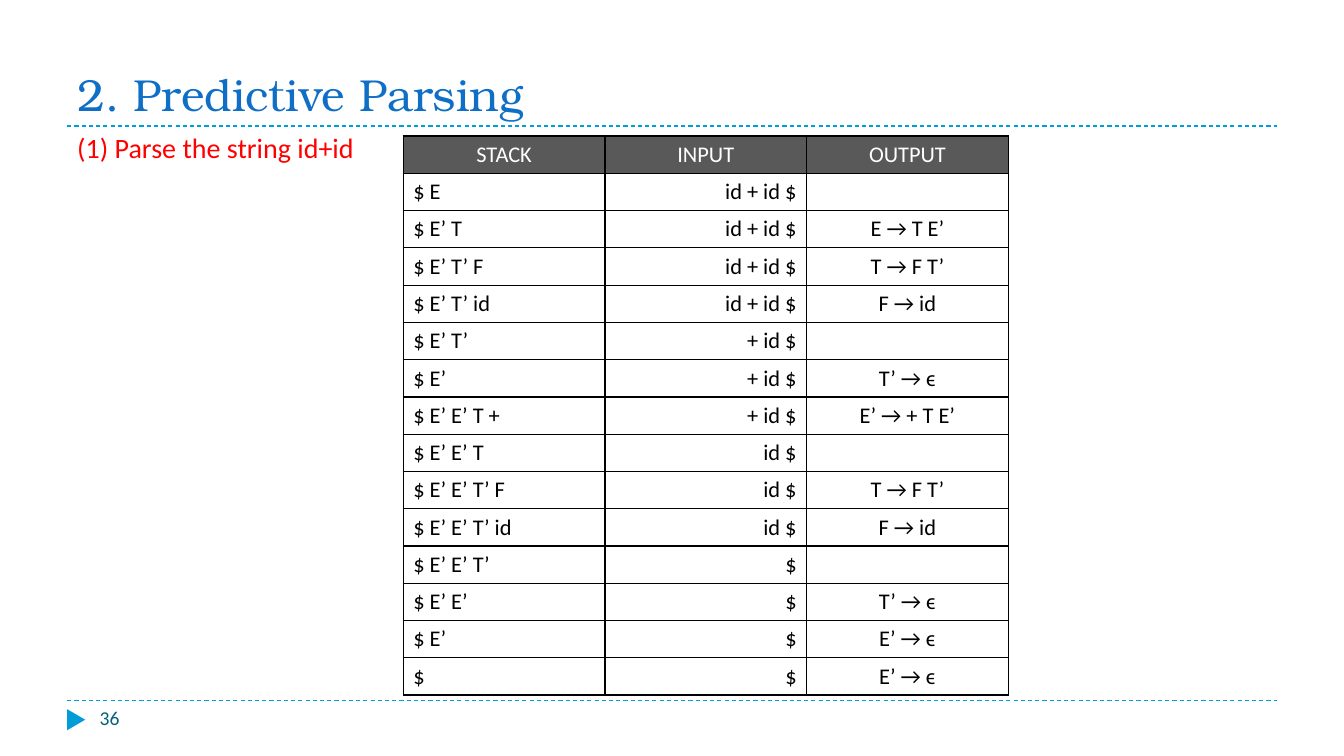
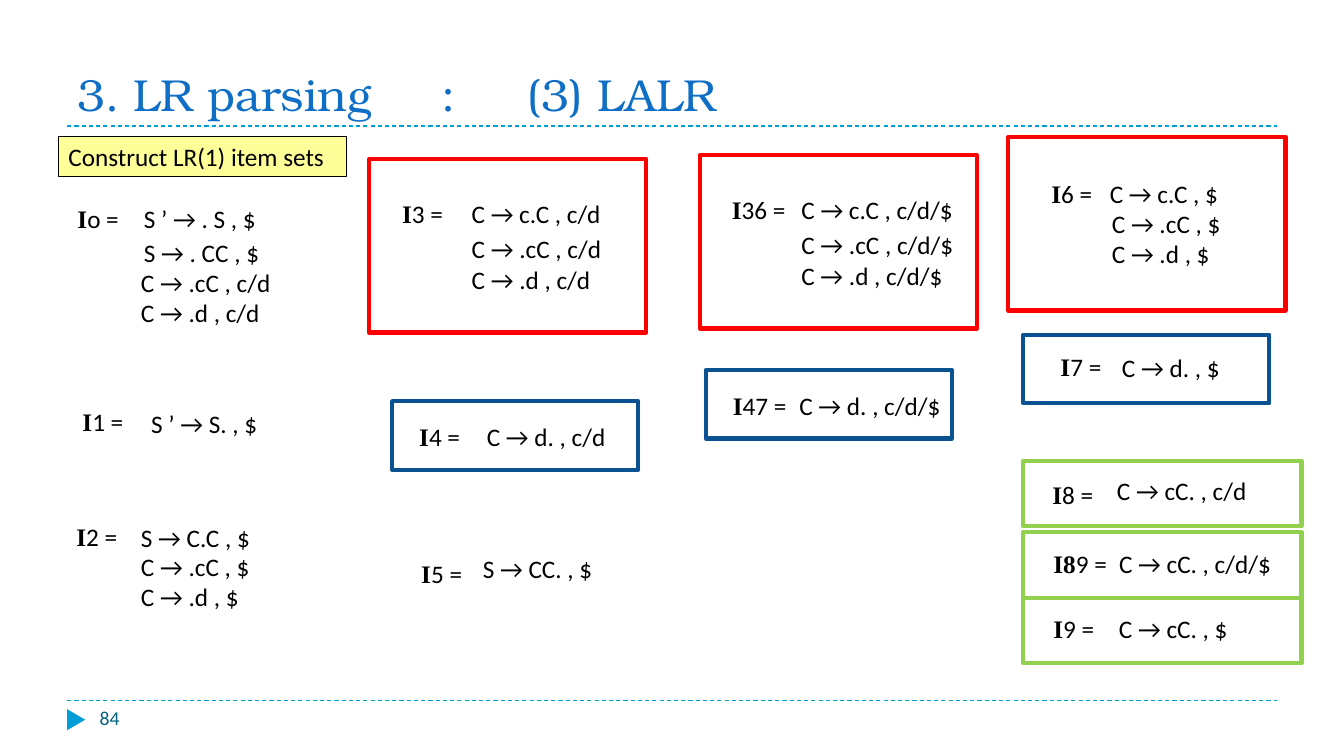
import pptx
import pptx.util
import pptx.dml.color
import pptx.enum.dml
import pptx.enum.shapes
import pptx.enum.text
import pptx.oxml.ns
import lxml.etree

W, H = 13.33, 7.5
MARGIN, RIGHT = W * 0.05, W * 0.95
TITLE_Y, FOOT_Y = 1.25, 6.95
LINE_H, PAD = 0.3, 0.1  # item line height, total vertical inset

SANS, SERIF, TITLE_FONT = "Calibri", "Times New Roman", "TeX Gyre Bonum"
BLACK, WHITE, RED, BLUE, GREEN = "000000", "FFFFFF", "FF0000", "0B5292", "92D050"
TITLE_COLOR, RULE_COLOR, NUMBER_COLOR = "0F6FC6", "009DD9", "04617B"
HEADER_FILL, NOTE_FILL = "595959", "FFFF99"

ALIGN = pptx.enum.text.PP_ALIGN
ANCHOR = pptx.enum.text.MSO_ANCHOR
FIT = pptx.enum.text.MSO_AUTO_SIZE
SHAPE = pptx.enum.shapes.MSO_SHAPE
qn = pptx.oxml.ns.qn

PARSE_STEPS = [
    ("STACK", "INPUT", "OUTPUT"),
    ("$ E", "id + id $", ""),
    ("$ E’ T", "id + id $", "E → T E’"),
    ("$ E’ T’ F", "id + id $", "T → F T’"),
    ("$ E’ T’ id", "id + id $", "F → id"),
    ("$ E’ T’", "+ id $", ""),
    ("$ E’", "+ id $", "T’ → ϵ"),
    ("$ E’ E’ T +", "+ id $", "E’ → + T E’"),
    ("$ E’ E’ T", "id $", ""),
    ("$ E’ E’ T’ F", "id $", "T → F T’"),
    ("$ E’ E’ T’ id", "id $", "F → id"),
    ("$ E’ E’ T’", "$", ""),
    ("$ E’ E’", "$", "T’ → ϵ"),
    ("$ E’", "$", "E’ → ϵ"),
    ("$", "$", "E’ → ϵ"),
]

# Panel size, colour and top-left corners
PANELS = [
    (2.75, 1.72, RED, [(3.66, 1.58), (6.94, 1.54), (10, 1.36)]),
    (2.44, 0.68, BLUE, [(3.89, 3.98), (7, 3.67), (10.15, 3.32)]),
    (2.76, 0.65, GREEN, [(10.15, 4.57), (10.15, 5.28), (10.15, 5.93)]),
]

# Set names: bold part, plain part, left, top
LABELS = [
    ("I", "o =", 0.67, 1.97), ("I", "1 =", 0.72, 3.98), ("I", "2 =", 0.66, 5.12),
    ("I", "3 =", 3.89, 1.92), ("I", "4 =", 4.06, 4.13), ("I", "5 =", 4.08, 5.49),
    ("I", "36 =", 7.16, 1.88), ("I", "47 =", 7.17, 3.82),
    ("I", "6 =", 10.33, 1.72), ("I", "7 =", 10.42, 3.44),
    ("I", "8 =", 10.34, 4.71), ("I8", "9 =", 10.35, 5.39), ("I", "9 =", 10.35, 6.04),
]

# Productions: left, top, width, lines
ITEMS = [
    (1.33, 1.97, 1.36, ["S ’ → . S , $"]),
    (1.33, 2.31, 1.47, ["S → . CC , $"]),
    (1.3, 2.6, 1.59, ["C → .cC , c/d", "C → .d , c/d"]),
    (1.4, 4, 1.29, ["S ’ → S. , $"]),
    (1.3, 5.13, 1.43, ["S → C.C , $"]),
    (1.3, 5.42, 1.43, ["C → .cC , $", "C → .d , $"]),
    (4.58, 1.92, 1.6, ["C → c.C , c/d"]),
    (4.58, 2.27, 1.59, ["C → .cC , c/d", "C → .d , c/d"]),
    (4.73, 4.13, 1.41, ["C → d. , c/d"]),
    (4.69, 5.44, 1.41, ["S → CC. , $"]),
    (7.85, 1.88, 1.81, ["C → c.C , c/d/$"]),
    (7.85, 2.23, 1.8, ["C → .cC , c/d/$", "C → .d , c/d/$"]),
    (7.83, 3.82, 1.61, ["C → d. , c/d/$"]),
    (10.91, 1.72, 1.43, ["C → c.C , $"]),
    (10.93, 2.02, 1.43, ["C → .cC , $", "C → .d , $"]),
    (11.03, 3.45, 1.23, ["C → d. , $"]),
    (10.98, 4.67, 1.57, ["C → cC. , c/d"]),
    (11, 5.39, 1.78, ["C → cC. , c/d/$"]),
    (11, 6.04, 1.4, ["C → cC. , $"]),
]


def inches(*values):
    return [pptx.util.Inches(v) for v in values]


def rgb(color):
    return pptx.dml.color.RGBColor.from_string(color)


def write(p, text, size=18, font=SANS, color=BLACK, bold=False, align=ALIGN.LEFT):
    """Append a formatted run to a paragraph; empty text only sets the line height."""
    p.alignment = align
    if not text:
        end = lxml.etree.SubElement(p._p, qn("a:endParaRPr"))
        end.set("sz", str(size * 100))
        return
    r = p.add_run()
    r.text = text
    r.font.size, r.font.name, r.font.bold = pptx.util.Pt(size), font, bold
    r.font.color.rgb = rgb(color)


def text_box(slide, x, y, w, lines, **fmt):
    h = LINE_H * len(lines) + PAD
    tf = slide.shapes.add_textbox(*inches(x, y, w, h)).text_frame
    tf.word_wrap = False
    tf.auto_size = FIT.SHAPE_TO_FIT_TEXT
    for i, line in enumerate(lines):
        write(tf.add_paragraph() if i else tf.paragraphs[0], line, **fmt)
    return tf


def shape(slide, kind, x, y, w, h, fill=None, line=None, width=0.75):
    sp = slide.shapes.add_shape(kind, *inches(x, y, w, h))
    sp.shadow.inherit = False
    if fill:
        sp.fill.solid()
        sp.fill.fore_color.rgb = rgb(fill)
    else:
        sp.fill.background()
    if line:
        sp.line.color.rgb = rgb(line)
        sp.line.width = pptx.util.Pt(width)
    else:
        sp.line.fill.background()
    return sp


def dashed_rule(slide, y):
    ln = slide.shapes.add_connector(
        pptx.enum.shapes.MSO_CONNECTOR.STRAIGHT, *inches(MARGIN, y, RIGHT, y))
    ln.line.color.rgb = rgb(RULE_COLOR)
    ln.line.width = pptx.util.Pt(0.75)
    ln.line.dash_style = pptx.enum.dml.MSO_LINE.DASH
    lxml.etree.SubElement(ln._element.spPr, qn("a:effectLst"))


def add_tabs(p, stops):
    tabs = lxml.etree.SubElement(p._p.get_or_add_pPr(), qn("a:tabLst"))
    for stop in stops:
        lxml.etree.SubElement(tabs, qn("a:tab"), pos=str(pptx.util.Inches(stop)), algn="l")


def new_slide(prs, title, number, tabs=()):
    """Title, rules, marker and page number common to all slides."""
    slide = prs.slides.add_slide(prs.slide_layouts[5])
    dashed_rule(slide, FOOT_Y)
    dashed_rule(slide, TITLE_Y)
    marker = shape(slide, SHAPE.ISOSCELES_TRIANGLE, 0.65, 7.05, 0.21, 0.18, RULE_COLOR)
    marker.rotation = 90
    sp = slide.shapes.title
    sp.left, sp.top, sp.width, sp.height = inches(MARGIN, TITLE_Y - 1, W * 0.9, 1)
    tf = sp.text_frame
    tf.vertical_anchor = ANCHOR.BOTTOM
    tf.word_wrap, tf.auto_size = True, FIT.NONE
    p = tf.paragraphs[0]
    if tabs:
        add_tabs(p, tabs)
    write(p, title, size=32, font=TITLE_FONT, color=TITLE_COLOR)
    text_box(slide, 0.89, FOOT_Y, 0.5, [number], size=14, color=NUMBER_COLOR)
    return slide


def border(cell):
    tcPr = cell._tc.get_or_add_tcPr()
    for side in ("a:lnL", "a:lnR", "a:lnT", "a:lnB"):
        ln = lxml.etree.SubElement(tcPr, qn(side), w=str(pptx.util.Pt(1)))
        fill = lxml.etree.SubElement(ln, qn("a:solidFill"))
        lxml.etree.SubElement(fill, qn("a:srgbClr"), val=BLACK)


def parse_table(slide, x, y, col_w, row_h, rows):
    n_rows, n_cols = len(rows), len(rows[0])
    table = slide.shapes.add_table(
        n_rows, n_cols, *inches(x, y, col_w * n_cols, row_h * n_rows)).table
    table.first_row = table.horz_banding = False
    aligns = (ALIGN.LEFT, ALIGN.RIGHT, ALIGN.CENTER)
    for i, row in enumerate(rows):
        for j, text in enumerate(row):
            cell = table.cell(i, j)
            border(cell)
            if i == 0:
                cell.fill.solid()
                cell.fill.fore_color.rgb = rgb(HEADER_FILL)
            else:
                cell.fill.background()
            write(cell.text_frame.paragraphs[0], text, size=16,
                  color=BLACK if i else WHITE, align=aligns[j] if i else ALIGN.CENTER)


def predictive_slide(prs):
    slide = new_slide(prs, "2. Predictive Parsing", "36")
    parse_table(slide, 4, 1.35, 2, 0.37, PARSE_STEPS)
    text_box(slide, MARGIN, TITLE_Y, 3.02, ["(1) Parse the string id+id"], size=20, color=RED)


def lalr_slide(prs):
    slide = new_slide(prs, "3. LR parsing\t:\t(3) LALR", "84", tabs=(3.61, 4.47))
    # Heading note
    note = shape(slide, SHAPE.RECTANGLE, 0.58, 1.35, 2.86, 0.4, NOTE_FILL, BLACK)
    note.text_frame.vertical_anchor = ANCHOR.TOP
    note.text_frame.word_wrap = True
    write(note.text_frame.paragraphs[0], "Construct LR(1) item sets")
    # Coloured panels mark the sets to be merged
    for w, h, color, corners in PANELS:
        for x, y in corners:
            shape(slide, SHAPE.RECTANGLE, x, y, w, h, line=color, width=3)
    # Item sets
    for bold, plain, x, y in LABELS:
        w = 0.64 if len(bold + plain) == 4 else 0.77
        tf = text_box(slide, x, y, w, [bold], font=SERIF, bold=True)
        write(tf.paragraphs[0], plain)
    for x, y, w, lines in ITEMS:
        text_box(slide, x, y, w, lines)


def main():
    prs = pptx.Presentation()
    prs.slide_width, prs.slide_height = inches(W, H)
    predictive_slide(prs)
    lalr_slide(prs)
    prs.save("out.pptx")


if __name__ == "__main__":
    main()
